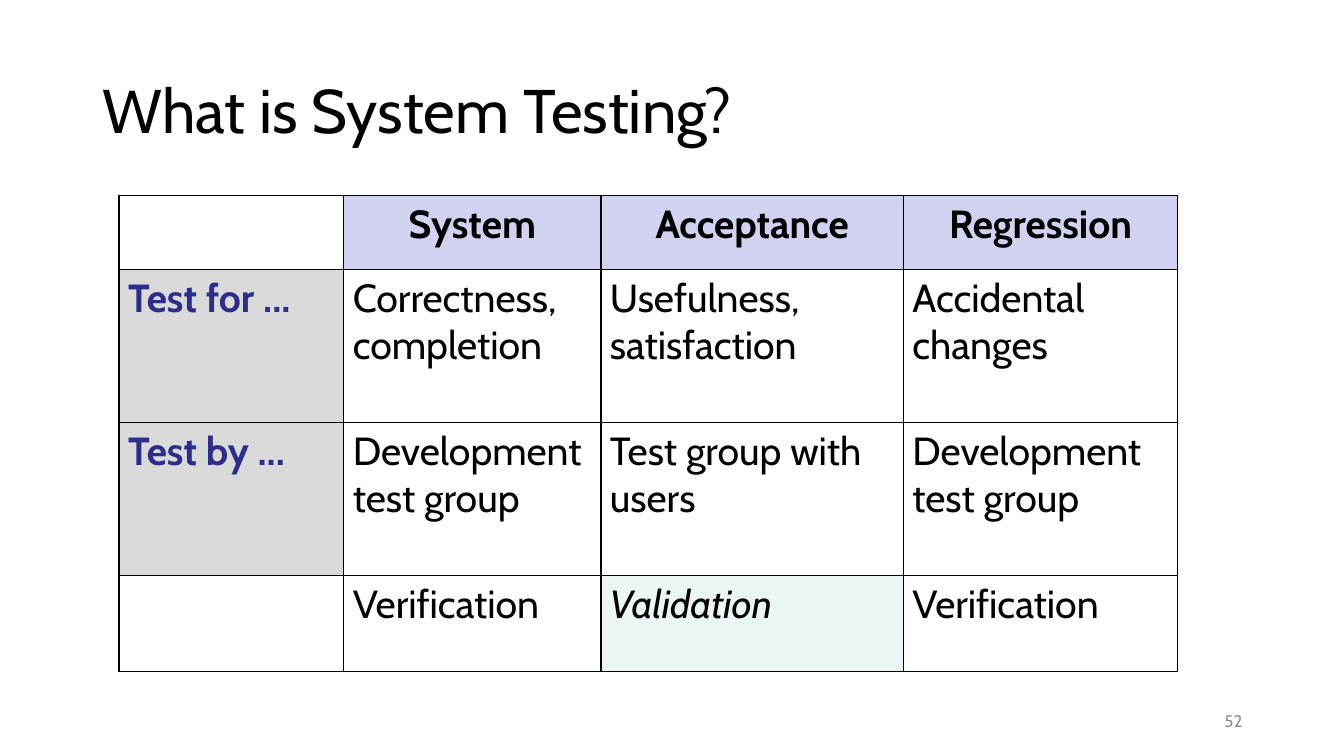
from dataclasses import dataclass

from lxml.etree import SubElement
from pptx import Presentation
from pptx.dml.color import RGBColor
from pptx.enum.text import MSO_ANCHOR, PP_ALIGN
from pptx.oxml.ns import qn
from pptx.slide import Slide
from pptx.table import _Cell
from pptx.text.text import _Paragraph
from pptx.util import Inches, Pt

FONT = "Cabin"
BLACK = "000000"


@dataclass(frozen=True)
class TextStyle:
    size: float
    color: str = BLACK
    bold: bool = False
    italic: bool = False
    align: PP_ALIGN = PP_ALIGN.LEFT


@dataclass(frozen=True)
class CellLook:
    text: TextStyle
    fill: str | None = None
    opacity: int = 100


@dataclass(frozen=True)
class Entry:
    words: str
    look: CellLook


TITLE = TextStyle(44)
PAGE_NUMBER = TextStyle(12, "8C8C8C", align=PP_ALIGN.RIGHT)
PLAIN = CellLook(TextStyle(28))
HEADING = CellLook(TextStyle(28, bold=True, align=PP_ALIGN.CENTER), "D1D1F0")
QUESTION = CellLook(TextStyle(28, "2D2D8A", bold=True), "D9D9D9")
HIGHLIGHT = CellLook(TextStyle(28, italic=True), "DAEDEF", 51)

COLUMN_WIDTHS = [2.23, 2.55, 3, 2.72]
ROW_HEIGHTS = [0.73, 1.52, 1.52, 0.95]
TEST_KINDS = [
    [Entry("", PLAIN), Entry("System", HEADING),
     Entry("Acceptance", HEADING), Entry("Regression", HEADING)],
    [Entry("Test for ...", QUESTION), Entry("Correctness, completion", PLAIN),
     Entry("Usefulness, satisfaction", PLAIN), Entry("Accidental changes", PLAIN)],
    [Entry("Test by ...", QUESTION), Entry("Development test group", PLAIN),
     Entry("Test group with users", PLAIN), Entry("Development test group", PLAIN)],
    [Entry("", PLAIN), Entry("Verification", PLAIN),
     Entry("Validation", HIGHLIGHT), Entry("Verification", PLAIN)],
]


def rgb(color: str) -> RGBColor:
    return RGBColor.from_string(color)


def write(paragraph: _Paragraph, words: str, style: TextStyle) -> None:
    paragraph.alignment = style.align
    run = paragraph.add_run()
    run.text = words
    run.font.name = FONT
    run.font.size = Pt(style.size)
    run.font.bold = style.bold
    run.font.italic = style.italic
    run.font.color.rgb = rgb(style.color)


def add_text(slide: Slide, left: float, top: float, width: float, height: float,
             words: str, style: TextStyle, line_spacing: float = 1.0) -> None:
    box = slide.shapes.add_textbox(Inches(left), Inches(top), Inches(width), Inches(height))
    frame = box.text_frame
    frame.word_wrap = True
    frame.vertical_anchor = MSO_ANCHOR.MIDDLE
    frame.paragraphs[0].line_spacing = line_spacing
    write(frame.paragraphs[0], words, style)


def add_borders(cell: _Cell) -> None:
    properties = cell._tc.get_or_add_tcPr()
    for side in ("a:lnL", "a:lnR", "a:lnT", "a:lnB"):
        line = SubElement(properties, qn(side), w=str(Pt(1)))
        solid = SubElement(line, qn("a:solidFill"))
        SubElement(solid, qn("a:srgbClr"), val=BLACK)


def fill_cell(cell: _Cell, look: CellLook) -> None:
    if look.fill is None:
        cell.fill.background()
        return
    cell.fill.solid()
    cell.fill.fore_color.rgb = rgb(look.fill)
    if look.opacity < 100:
        color = cell._tc.tcPr.find(qn("a:solidFill")).find(qn("a:srgbClr"))
        SubElement(color, qn("a:alpha"), val=str(look.opacity * 1000))


def add_test_table(slide: Slide, left: float, top: float) -> None:
    table = slide.shapes.add_table(
        len(ROW_HEIGHTS), len(COLUMN_WIDTHS), Inches(left), Inches(top),
        Inches(sum(COLUMN_WIDTHS)), Inches(sum(ROW_HEIGHTS))).table
    table.first_row = False
    table.horz_banding = False
    for column, width in zip(table.columns, COLUMN_WIDTHS):
        column.width = Inches(width)
    for row, height, entries in zip(table.rows, ROW_HEIGHTS, TEST_KINDS):
        row.height = Inches(height)
        for cell, entry in zip(row.cells, entries):
            cell.margin_left = cell.margin_right = Inches(0.09)
            cell.margin_top = cell.margin_bottom = Inches(0.05)
            add_borders(cell)
            fill_cell(cell, entry.look)
            if entry.words:
                write(cell.text_frame.paragraphs[0], entry.words, entry.look.text)


def main() -> None:
    deck = Presentation()
    deck.slide_width = Inches(13.33)
    deck.slide_height = Inches(7.5)
    slide = deck.slides.add_slide(deck.slide_layouts[6])

    # Title
    add_text(slide, 0.92, 0.4, 11.5, 1.45, "What is System Testing?", TITLE, 0.9)
    # Comparison of the kinds of testing
    add_test_table(slide, 1.18, 1.94)
    # Page number
    add_text(slide, 9.42, 6.95, 3, 0.4, "52", PAGE_NUMBER)

    deck.save("out.pptx")


if __name__ == "__main__":
    main()
